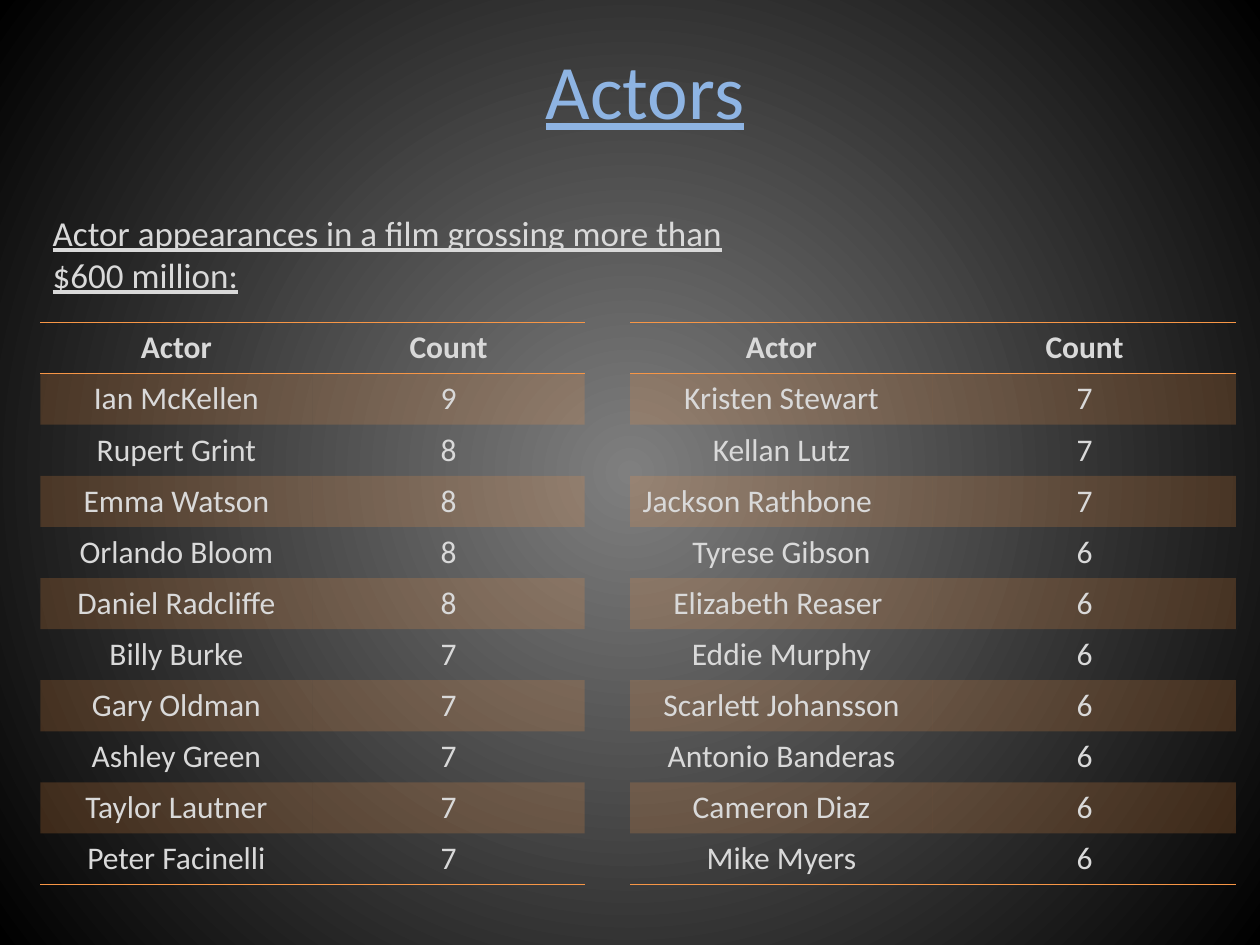
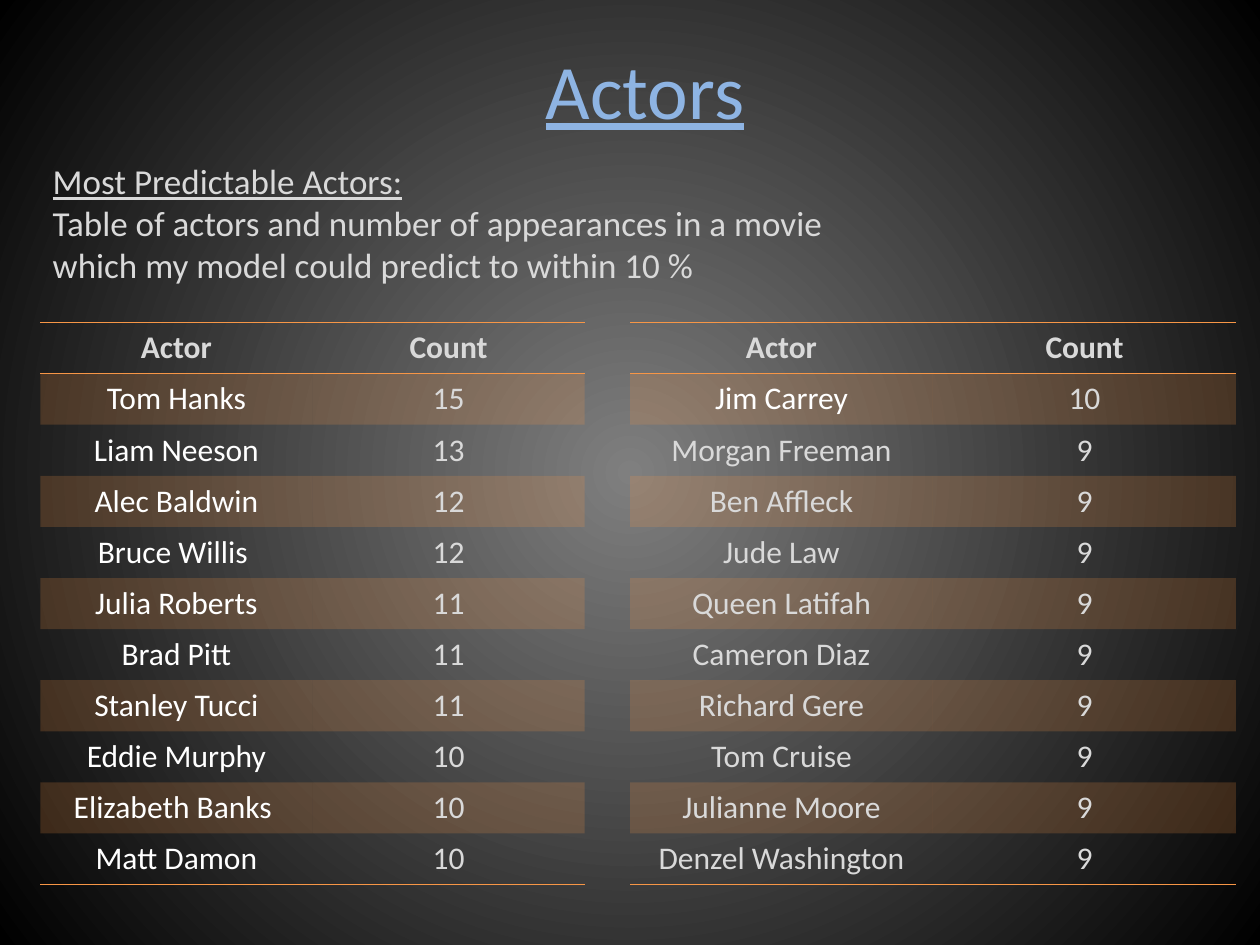
from lxml import etree
from pptx import Presentation
from pptx.dml.color import RGBColor
from pptx.enum.text import MSO_ANCHOR, MSO_AUTO_SIZE, PP_ALIGN
from pptx.oxml.ns import qn
from pptx.util import Inches, Pt

CENTER, LEFT = PP_ALIGN.CENTER, PP_ALIGN.LEFT
MIDDLE = MSO_ANCHOR.MIDDLE
GROW = MSO_AUTO_SIZE.SHAPE_TO_FIT_TEXT

BLUE = RGBColor(0x8E, 0xB4, 0xE3)
PALE = RGBColor(0xD9, 0xD9, 0xD9)
WHITE = RGBColor(0xFF, 0xFF, 0xFF)
ORANGE = RGBColor(0xF7, 0x96, 0x46)
GRAY = RGBColor(0x7F, 0x7F, 0x7F)
BLACK = RGBColor(0, 0, 0)

FONT = "Calibri"
PLAIN = "{2D5ABB26-0587-4C30-8999-92F81FD0307C}"
TITLE = (0.62, 0.19, 9, 1.02)
LEFT_BOX = (0.32, 2.56, 4.32, 4.46)
RIGHT_BOX = (5, 2.56, 4.81, 4.46)

TOP = [("Ian McKellen", 9), ("Rupert Grint", 8), ("Emma Watson", 8),
       ("Orlando Bloom", 8), ("Daniel Radcliffe", 8), ("Billy Burke", 7),
       ("Gary Oldman", 7), ("Ashley Green", 7), ("Taylor Lautner", 7),
       ("Peter Facinelli", 7), ("Kristen Stewart", 7), ("Kellan Lutz", 7),
       ("Jackson Rathbone", 7), ("Tyrese Gibson", 6),
       ("Elizabeth Reaser ", 6), ("Eddie Murphy", 6),
       ("Scarlett Johansson", 6), ("Antonio Banderas", 6),
       ("Cameron Diaz", 6), ("Mike Myers", 6)]
STEADY = [("Tom Hanks", 15), ("Liam Neeson", 13), ("Alec Baldwin", 12),
          ("Bruce Willis ", 12), ("Julia Roberts", 11), ("Brad Pitt", 11),
          ("Stanley Tucci", 11), ("Eddie Murphy", 10),
          ("Elizabeth Banks ", 10), ("Matt Damon", 10), ("Jim Carrey", 10),
          ("Morgan Freeman", 9), ("Ben Affleck", 9), ("Jude Law", 9),
          ("Queen Latifah", 9), ("Cameron Diaz", 9), ("Richard Gere", 9),
          ("Tom Cruise", 9), ("Julianne Moore", 9),
          ("Denzel Washington", 9)]


def style(para, size, color, align=LEFT, bold=False, line=False):
    """Format a paragraph and its runs."""
    para.alignment = align
    for run in para.runs:
        font = run.font
        font.name, font.size = FONT, Pt(size)
        font.bold, font.underline = bold, line
        font.color.rgb = color


def set_back(master):
    """Give the master a round gradient from gray to black."""
    fill = master.background.fill
    fill.gradient()
    for stop, color, spot in zip(fill.gradient_stops, (GRAY, BLACK), (0, 1)):
        stop.color.rgb = color
        stop.position = spot
    grad = next(master.element.iter(qn("a:gradFill")))
    grad.remove(grad.find(qn("a:lin")))
    shade = etree.SubElement(grad, qn("a:path"), path="circle")
    etree.SubElement(shade, qn("a:fillToRect"),
                     {side: "50000" for side in "ltrb"})


def add_title(slide, text, box):
    """Place and format the slide title."""
    title = slide.shapes.title
    title.left, title.top, title.width, title.height = map(Inches, box)
    frame = title.text_frame
    frame.text = text
    frame.vertical_anchor = MIDDLE
    style(frame.paragraphs[0], 44, BLUE, CENTER, line=True)


def add_intro(slide, lines, box):
    """Add the text above the tables, its first line underlined."""
    frame = slide.shapes.add_textbox(*map(Inches, box)).text_frame
    frame.word_wrap = True
    frame.auto_size = GROW
    frame.text = "\n".join(lines)
    for i, para in enumerate(frame.paragraphs):
        style(para, 20, PALE, line=i == 0)


def add_rule(cell, side):
    """Draw an orange rule on one side of a cell."""
    rule = etree.SubElement(cell._tc.get_or_add_tcPr(), qn("a:ln" + side),
                            w=str(Pt(1)))
    solid = etree.SubElement(rule, qn("a:solidFill"))
    etree.SubElement(solid, qn("a:srgbClr"), val=str(ORANGE))


def tint(cell):
    """Fill a cell with see-through orange."""
    cell.fill.solid()
    cell.fill.fore_color.rgb = ORANGE
    color = next(cell._tc.tcPr.iter(qn("a:srgbClr")))
    etree.SubElement(color, qn("a:alpha"), val="20000")


def add_counts(slide, actors, bright, box):
    """Add a banded table of actors, the names in bright being white."""
    rows = [("Actor", "Count")] + actors
    last = len(rows) - 1
    table = slide.shapes.add_table(len(rows), 2, *map(Inches, box)).table
    table._tbl.tblPr.find(qn("a:tableStyleId")).text = PLAIN
    for col in table.columns:
        col.width = Inches(box[2] / 2)
    for r, row in enumerate(rows):
        table.rows[r].height = Inches(box[3] / len(rows))
        for c, value in enumerate(row):
            cell = table.cell(r, c)
            cell.text = str(value)
            color = WHITE if value in bright else PALE
            align = LEFT if value == "Jackson Rathbone" else CENTER
            style(cell.text_frame.paragraphs[0], 18, color, align, r == 0)
            if r == 0:
                add_rule(cell, "T")
            if r in (0, last):
                add_rule(cell, "B")
            if r % 2:
                tint(cell)
            else:
                cell.fill.background()


def add_page(deck, lines, box, actors, bright=()):
    """Add a slide with an intro and two tables side by side."""
    slide = deck.slides.add_slide(deck.slide_layouts[5])
    add_title(slide, "Actors", TITLE)
    half = len(actors) // 2
    add_counts(slide, actors[:half], bright, LEFT_BOX)
    add_counts(slide, actors[half:], bright, RIGHT_BOX)
    add_intro(slide, lines, box)


def main():
    """Build the deck and save it."""
    deck = Presentation()
    deck.slide_width, deck.slide_height = Inches(10), Inches(7.5)
    set_back(deck.slide_master)
    add_page(deck, ["Actor appearances in a film grossing more than "
                    "$600 million:"], (0.32, 1.63, 5.54, 0.77), TOP)
    add_page(deck, ["Most Predictable Actors:",
                    "Table of actors and number of appearances in a movie "
                    "which my model could predict to within 10 %"],
             (0.32, 1.22, 6.79, 1.11), STEADY,
             [name for name, count in STEADY if count >= 10])
    deck.save("out.pptx")


main()
